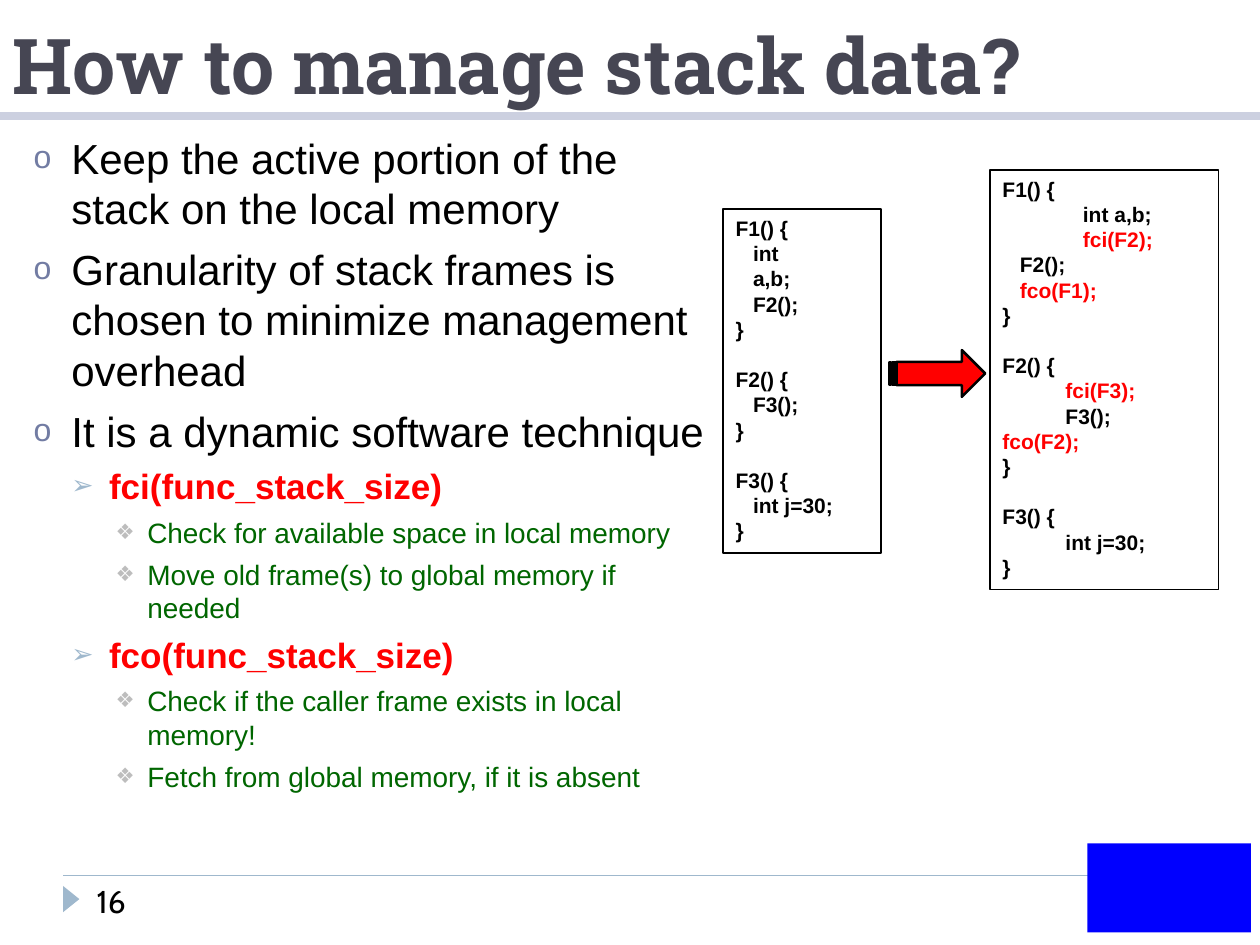
from lxml import etree
from pptx import Presentation
from pptx import util as u
from pptx.dml.color import RGBColor
from pptx.enum import shapes, text
from pptx.oxml import ns

BLACK = RGBColor(0x00, 0x00, 0x00)
WHITE = RGBColor(0xFF, 0xFF, 0xFF)
RED = RGBColor(0xFF, 0x00, 0x00)
GREEN = RGBColor(0x00, 0x66, 0x00)
BLUE = RGBColor(0x00, 0x00, 0xFF)
SLATE = RGBColor(0x46, 0x46, 0x53)
INDIGO = RGBColor(0x72, 0x7C, 0xA3)
STEEL = RGBColor(0x9F, 0xB8, 0xCD)
SILVER = RGBColor(0xBD, 0xBD, 0xBD)
LAVENDER = RGBColor(0xCC, 0xD0, 0xE0)

TITLE = "How to manage stack data?"

# level: bullet, bullet colour, margin, hanging indent, space before, size, colour, bold
LEVELS = [
    ("o", INDIGO, 0.76, 0.76, 6, 24, BLACK, False),
    ("➢", STEEL, 1.52, 0.76, 5, 20, RED, True),
    ("❖", SILVER, 2.29, 0.64, 5, 16, GREEN, False),
]

POINTS = [
    (0, "Keep the active portion of the stack on the local memory"),
    (0, "Granularity of stack frames is chosen to minimize management overhead"),
    (0, "It is a dynamic software technique"),
    (1, "fci(func_stack_size)"),
    (2, "Check for available space in local memory"),
    (2, "Move old frame(s) to global memory if needed"),
    (1, "fco(func_stack_size)"),
    (2, "Check if the caller frame exists in local memory!"),
    (2, "Fetch from global memory, if it is absent"),
]

PLAIN_CODE = [
    "F1() {", "   int", "   a,b;", "   F2();", "}", "",
    "F2() {", "   F3();", "}", "",
    "F3() {", "   int j=30;", "}",
]

MANAGED_CODE = [
    "F1() {", "\t   int a,b;", "\t   fci(F2);", "   F2();", "   fco(F1);", "}", "",
    "F2() {", "\tfci(F3);", "\tF3();", "fco(F2);", "}", "",
    "F3() {", "\tint j=30;", "}",
]


def add_element(parent, tag, **attributes):
    """Append a DrawingML element to the parent and return it."""
    return etree.SubElement(parent, ns.qn(f"a:{tag}"), attributes)


def set_font(paragraph, name, size, color, bold=False):
    """Set the font of a whole paragraph."""
    font = paragraph.font
    font.name, font.size, font.bold = name, u.Pt(size), bold
    font.color.rgb = color


def add_text_box(slide, left, top, width, height):
    """Add a wrapping text box and return its text frame."""
    frame = slide.shapes.add_textbox(
        u.Cm(left), u.Cm(top), u.Cm(width), u.Cm(height)).text_frame
    frame.word_wrap = True
    return frame


def add_rule(slide, left, right, y, color, weight):
    """Draw a horizontal line without a shadow."""
    rule = slide.shapes.add_connector(
        shapes.MSO_CONNECTOR.STRAIGHT, u.Cm(left), u.Cm(y), u.Cm(right), u.Cm(y))
    rule.line.color.rgb = color
    rule.line.width = u.Pt(weight)
    add_element(rule._element.spPr, "effectLst")


def add_filled(slide, kind, left, top, width, height, fill, weight=0):
    """Add a flat preset shape, outlined in black if a weight is given."""
    shape = slide.shapes.add_shape(
        kind, u.Cm(left), u.Cm(top), u.Cm(width), u.Cm(height))
    shape.shadow.inherit = False
    shape.fill.solid()
    shape.fill.fore_color.rgb = fill
    if weight:
        shape.line.color.rgb = BLACK
        shape.line.width = u.Pt(weight)
    else:
        shape.line.fill.background()
    return shape


def add_header(slide, left, top, width, height):
    """Place the title above a rule along the bottom of the box."""
    add_rule(slide, left, left + width, top + height, LAVENDER, 5)
    frame = add_text_box(slide, left, top, width, height)
    frame.vertical_anchor = text.MSO_ANCHOR.BOTTOM
    title = frame.paragraphs[0]
    title.text = TITLE
    set_font(title, "Roboto Slab", 44, SLATE, True)


def add_footer(slide, left, top, width, height):
    """Place the rule, page marker, page number and corner emblem."""
    add_rule(slide, left, left + width, top, STEEL, 1)
    marker = add_filled(slide, shapes.MSO_SHAPE.ISOSCELES_TRIANGLE,
                        left - 0.1, top + 0.31, 0.53, 0.33, STEEL)
    marker.rotation = 90
    number = add_text_box(slide, left + 0.43, top, 3.59, height).paragraphs[0]
    number.text = "16"
    set_font(number, "Cabin", 18, BLACK)
    add_filled(slide, shapes.MSO_SHAPE.RECTANGLE,
               left + width - 0.1, top - 0.65, 3.3, 1.8, BLUE)


def add_points(slide, left, top, width, height):
    """Place the three-level bullet list."""
    frame = add_text_box(slide, left, top, width, height)
    for index, (level, words) in enumerate(POINTS):
        bullet, bullet_color, margin, hanging, gap, size, color, bold = LEVELS[level]
        point = frame.add_paragraph() if index else frame.paragraphs[0]
        point.text = words
        point.level = level
        properties = point._p.get_or_add_pPr()
        properties.set("marL", str(u.Cm(margin)))
        properties.set("indent", str(-u.Cm(hanging)))
        add_element(add_element(properties, "buClr"), "srgbClr", val=str(bullet_color))
        add_element(properties, "buSzPct", val="76000")
        add_element(properties, "buFont", typeface="Arial")
        add_element(properties, "buChar", char=bullet)
        point.space_before = u.Pt(gap if index else 0)
        set_font(point, "Arial", size, color, bold)


def add_listing(slide, left, top, width, height, code, weight):
    """Place a framed code listing with the stack management calls in red."""
    panel = add_filled(slide, shapes.MSO_SHAPE.RECTANGLE,
                       left, top, width, height, WHITE, weight)
    frame = panel.text_frame
    frame.word_wrap = True
    frame.vertical_anchor = text.MSO_ANCHOR.TOP
    for index, words in enumerate(code):
        line = frame.add_paragraph() if index else frame.paragraphs[0]
        line.text = words
        line.alignment = text.PP_ALIGN.LEFT
        tabs = add_element(line._p.get_or_add_pPr(), "tabLst")
        for stop in range(8):
            add_element(tabs, "tab", pos=str(u.Cm(1.27 * stop)), algn="l")
        managed = words.strip().startswith(("fci", "fco"))
        set_font(line, "Arial", 12, RED if managed else BLACK, True)


def add_transformation(slide, left, top):
    """Place the plain listing, the arrow and the managed listing."""
    add_listing(slide, left, top + 0.79, 3.18, 6.93, PLAIN_CODE, 1)
    add_listing(slide, left + 5.38, top, 4.6, 8.46, MANAGED_CODE, 0.75)
    add_filled(slide, shapes.MSO_SHAPE.STRIPED_RIGHT_ARROW,
               left + 3.35, top + 3.63, 1.93, 0.94, RED, 1.5)


def main():
    """Build and save the slide."""
    deck = Presentation()
    deck.slide_width, deck.slide_height = u.Cm(25.4), u.Cm(19.05)
    slide = deck.slides.add_slide(deck.slide_layouts[6])
    add_footer(slide, 1.27, 17.65, 20.75, 1.02)
    add_header(slide, 0, 0, 25.4, 2.34)
    add_points(slide, 0.43, 2.54, 14.17, 14.61)
    add_transformation(slide, 14.58, 3.43)
    deck.save("out.pptx")


if __name__ == "__main__":
    main()
